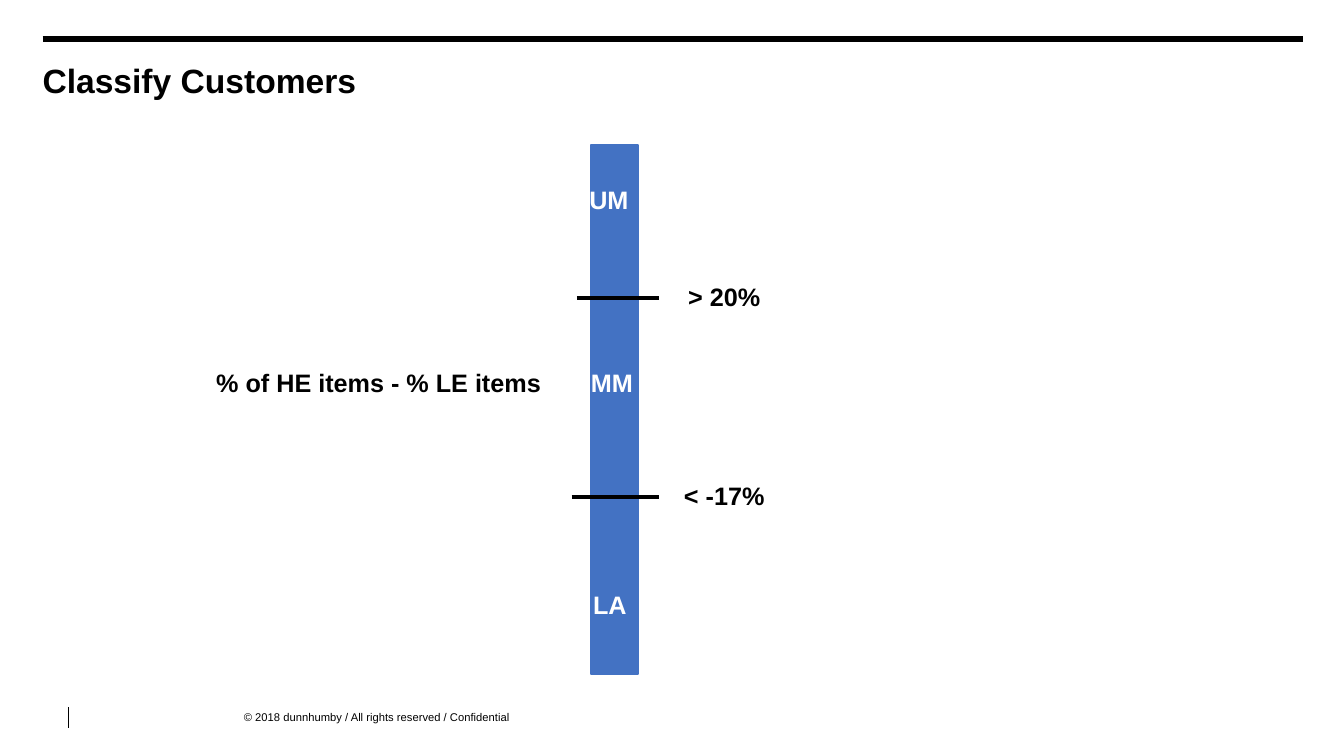
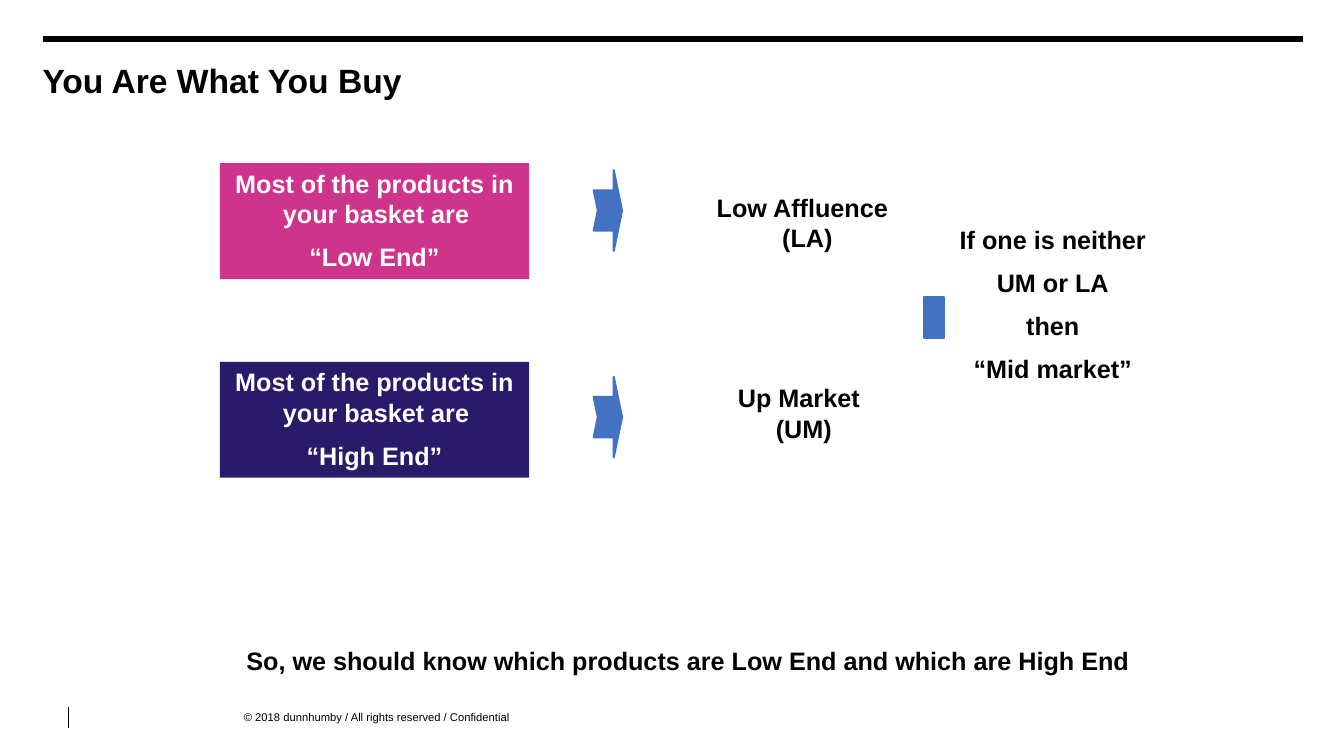
from lxml import etree
from pptx import Presentation
from pptx.dml.color import RGBColor
from pptx.enum.shapes import MSO_CONNECTOR, MSO_SHAPE
from pptx.enum.text import MSO_ANCHOR, PP_ALIGN
from pptx.oxml.ns import qn
from pptx.util import Pt

STRAIGHT = MSO_CONNECTOR.STRAIGHT
RECT = MSO_SHAPE.RECTANGLE
ARROW = MSO_SHAPE.NOTCHED_RIGHT_ARROW
TOP = MSO_ANCHOR.TOP
LEFT, CENTER = PP_ALIGN.LEFT, PP_ALIGN.CENTER

COLORS = {
    "black": "000000",
    "white": "FFFFFF",
    "blue": "4372C3",
    "pink": "CF348C",
    "navy": "291B69",
}
FONT = "Arial"
HANG = Pt(7.2)
LABEL_H = 29


def rgb(name):
    return RGBColor.from_string(COLORS[name])


def style_run(r, size, color, bold):
    r.font.name = FONT
    r.font.size = Pt(size)
    r.font.bold = bold
    r.font.color.rgb = rgb(color)


def set_margins(tf, size):
    tf.margin_left = tf.margin_right = tf.margin_top = tf.margin_bottom = Pt(size)


def add_line(s, x1, y1, x2, y2, width):
    line = s.shapes.add_connector(STRAIGHT, Pt(x1), Pt(y1), Pt(x2), Pt(y2))
    line.line.color.rgb = rgb("black")
    line.line.width = Pt(width)
    etree.SubElement(line.element.spPr, qn("a:effectLst"))
    return line


def add_shape(s, kind, x, y, w, h, fill, outlined=True):
    sp = s.shapes.add_shape(kind, Pt(x), Pt(y), Pt(w), Pt(h))
    sp.shadow.inherit = False
    sp.fill.solid()
    sp.fill.fore_color.rgb = rgb(fill)
    if outlined:
        sp.line.color.rgb = rgb(fill)
        sp.line.width = Pt(1.5)
    else:
        sp.line.fill.background()
    return sp


def write_bold(tf, text, color):
    tf.word_wrap = True
    tf.vertical_anchor = TOP
    tf.text = text
    for i, p in enumerate(tf.paragraphs):
        pPr = p._p.get_or_add_pPr()
        pPr.set("marL", str(HANG))
        pPr.set("indent", str(-HANG))
        p.alignment = CENTER
        if i:
            p.space_before = Pt(9)
        for r in p.runs:
            style_run(r, 18, color, True)


def add_label(s, text, x, y, w, h=LABEL_H, color="black"):
    sp = s.shapes.add_textbox(Pt(x), Pt(y), Pt(w), Pt(h))
    write_bold(sp.text_frame, text, color)


def add_footer(s, x, y):
    sp = s.shapes.add_textbox(Pt(x), Pt(y), Pt(248), Pt(9.4))
    tf = sp.text_frame
    tf.word_wrap = True
    set_margins(tf, 0)
    tf.text = "© 2018 dunnhumby / All rights reserved / Confidential"
    style_run(tf.paragraphs[0].runs[0], 8, "black", False)
    return sp


def build_layout(s, layout):
    for ph in list(layout.placeholders):
        if ph.placeholder_format.idx:
            ph.element.getparent().remove(ph.element)
        else:
            ph.left, ph.top, ph.width, ph.height = Pt(30.4), Pt(47.5), Pt(900), Pt(32)
    shared = (
        add_line(s, 30.4, 28, 930.4, 28, 4),
        add_line(s, 49, 505.3, 49, 519.8, 1),
        add_footer(s, 174.2, 507.6),
    )
    for sp in shared:
        layout.shapes.element.append(sp.element)


def set_title(s, text):
    tf = s.shapes.title.text_frame
    tf.text = text
    tf.vertical_anchor = TOP
    set_margins(tf, 0)
    p = tf.paragraphs[0]
    p.alignment = LEFT
    p.line_spacing = Pt(24)
    style_run(p.runs[0], 24, "black", True)


def add_scale(s, x, y, w, h):
    add_shape(s, RECT, x, y, w, h, "blue")
    for text, dy, start in (("> 20% ", 109.4, -10), ("< -17% ", 251.3, -13.7)):
        add_line(s, x + start, y + dy, x + w + 15, y + dy, 3)
        add_label(s, text, x + w + 18.7, y + dy - 15.5, 90.7)
    for text, dx, dy in (("UM", -32.4, 24.5), ("MM", -30.2, 154.8), ("LA", -31.7, 314)):
        add_label(s, text, x + dx, y + dy, 90.7, color="white")
    add_label(s, "% of HE items - % LE items ", x - 288, y + 154.8, 278)


def add_rule(s, x, y, w, h, level, fill, arrow_dy, outcome, outcome_box):
    sp = add_shape(s, RECT, x, y, w, h, fill, outlined=False)
    write_bold(sp.text_frame,
               f"Most of the products in your basket are \n“{level} End”", "white")
    arrow = add_shape(s, ARROW, x + 267.1, y + arrow_dy, 20.2, 57.6, "blue")
    arrow.adjustments[0] = 0.5
    arrow.adjustments[1] = 0.292
    dx, dy, width = outcome_box
    add_label(s, outcome, x + dx, y + dy, width, 50.4)


def add_fallback(s, x, y, w, h):
    add_shape(s, RECT, x - 18, y + 55.4, 14.4, 28.8, "blue")
    add_label(s, "If one is neither \nUM or LA\nthen\n“Mid market”", x, y, w, h)


def build_classify(s):
    set_title(s, "Classify Customers")
    add_scale(s, 422, 103.7, 33.8, 378)


def build_buy(s):
    set_title(s, "You Are What You Buy")
    rules = (
        ("Low", "pink", 5, "Low Affluence (LA)", (328.3, 17.3, 175.7)),
        ("High", "navy", 10.8, "Up Market (UM)", (345.6, 11.5, 136)),
    )
    for i, rule in enumerate(rules):
        add_rule(s, 157, 116.6 + i * 141.8, 221, 82.8, *rule)
    add_fallback(s, 678.2, 157, 147.6, 127.4)
    add_label(s, "So, we should know which products are Low End and which are High End",
              157, 457.2, 669)


def main():
    prs = Presentation()
    prs.slide_width, prs.slide_height = Pt(960), Pt(540)
    layout = prs.slide_layouts[5]
    classify = prs.slides.add_slide(layout)
    build_layout(classify, layout)
    build_classify(classify)
    build_buy(prs.slides.add_slide(layout))
    prs.save("out.pptx")


if __name__ == "__main__":
    main()
